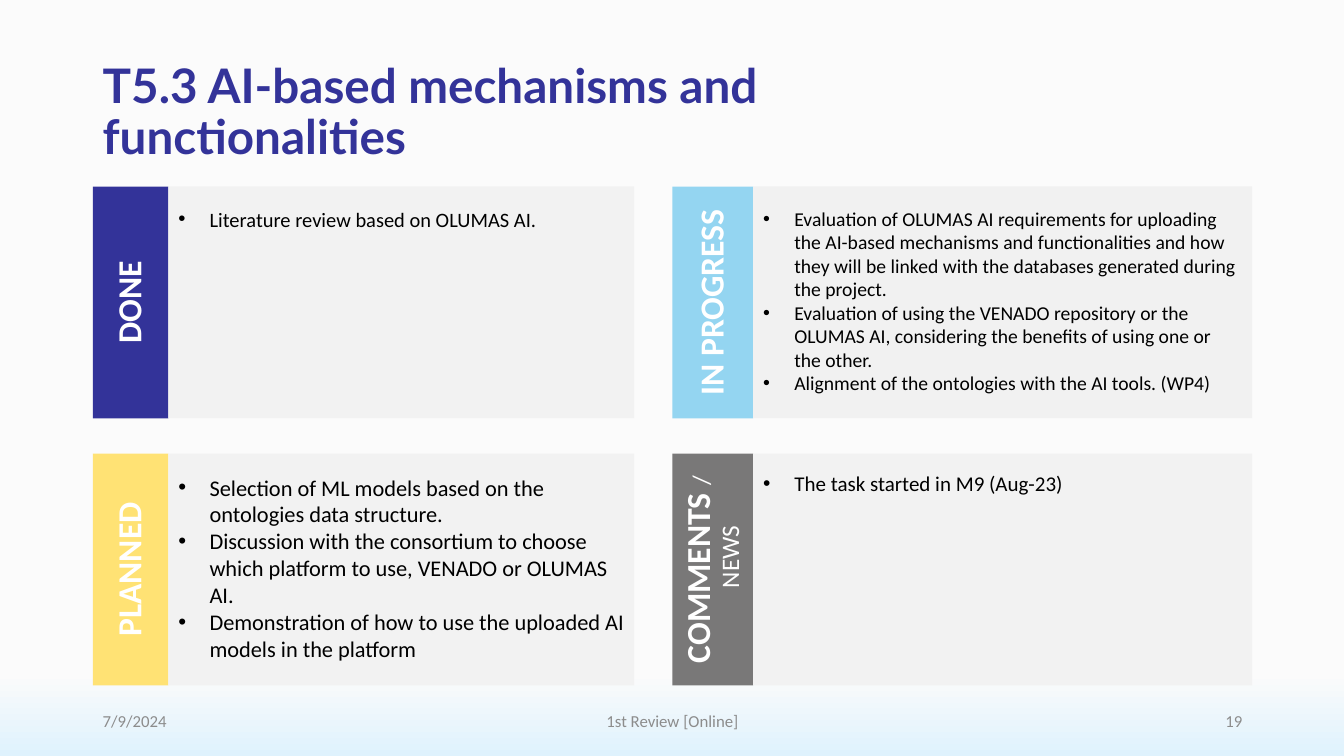
from pptx import Presentation
from pptx.dml.color import RGBColor
from pptx.enum.shapes import MSO_SHAPE
from pptx.enum.text import MSO_ANCHOR, PP_ALIGN
from pptx.oxml.ns import qn
from pptx.util import Inches, Pt
from lxml import etree

NAVY = RGBColor(0x33, 0x33, 0x99)
SKY = RGBColor(0x94, 0xD5, 0xF1)
YELLOW = RGBColor(0xFF, 0xE2, 0x74)
GRAY = RGBColor(0x79, 0x78, 0x78)
PANEL = RGBColor(0xF2, 0xF2, 0xF2)
PANEL_DARKER = RGBColor(0xF1, 0xF1, 0xF1)
FOOTER_GRAY = RGBColor(0x8C, 0x8C, 0x8C)
WHITE = RGBColor(0xFF, 0xFF, 0xFF)
BLACK = RGBColor(0, 0, 0)
BACKGROUND_STOPS = [(0.89, RGBColor(0xFB, 0xFB, 0xFB)), (1, RGBColor(0xDF, 0xF2, 0xFD))]

LEFT, RIGHT = 0.92, 12.42
COLUMNS = [(LEFT, 0.75, 4.62), (6.67, 0.8, 4.95)]
ROWS = [1.85, 4.5]
PANEL_HEIGHT = 2.3
FOOTER_TOP, FOOTER_HEIGHT = 6.95, 0.4

PANELS = [
    (0, 1, YELLOW, PANEL, [("PLANNED", 24, True)], 16, False, [
        "Selection of ML models based on the ontologies data structure.",
        "Discussion with the consortium to choose which platform to use, VENADO or OLUMAS AI.",
        "Demonstration of how to use the uploaded AI models in the platform"]),
    (0, 0, NAVY, PANEL, [("DONE", 24, True)], 14.6, False, [
        "Literature review based on OLUMAS AI."]),
    (1, 0, SKY, PANEL_DARKER, [("IN PROGRESS", 24, True)], 14, False, [
        "Evaluation of OLUMAS AI requirements for uploading the AI-based mechanisms and "
        "functionalities and how they will be linked with the databases generated during the project.",
        "Evaluation of using the VENADO repository or the OLUMAS AI, considering the benefits "
        "of using one or the other.",
        "Alignment of the ontologies with the AI tools. (WP4)"]),
    (1, 1, GRAY, PANEL, [("COMMENTS ", 24, True), ("/ NEWS", 18, False)], 15, True, [
        "The task started in M9 (Aug-23)"]),
]


def set_font(font, name, size, color, bold=False):
    font.name = name
    font.size = Pt(size)
    font.color.rgb = color
    font.bold = bold


def set_hanging(paragraph, indent):
    properties = paragraph._p.get_or_add_pPr()
    properties.set("marL", str(Inches(indent)))
    properties.set("indent", str(-Inches(indent)))
    return properties


def set_tight_spacing(paragraph):
    paragraph.line_spacing = 0.9
    paragraph.space_before = Pt(10)


def add_bullet(paragraph):
    properties = set_hanging(paragraph, 0.31)
    etree.SubElement(properties, qn("a:buFont")).set("typeface", "Arial")
    etree.SubElement(properties, qn("a:buChar")).set("char", "•")


def add_block(shapes, box, color):
    shape = shapes.add_shape(MSO_SHAPE.RECTANGLE, *map(Inches, box))
    shape.shadow.inherit = False
    shape.fill.solid()
    shape.fill.fore_color.rgb = color
    shape.line.fill.background()
    shape.text_frame.word_wrap = True
    return shape


def add_label(shapes, box, color, runs):
    left, top, width, height = box
    shape = add_block(
        shapes, (left + (width - height) / 2, top + (height - width) / 2, height, width), color)
    shape.rotation = 270
    shape.text_frame.vertical_anchor = MSO_ANCHOR.MIDDLE
    paragraph = shape.text_frame.paragraphs[0]
    paragraph.alignment = PP_ALIGN.CENTER
    set_hanging(paragraph, 0.25)
    set_tight_spacing(paragraph)
    for text, size, bold in runs:
        run = paragraph.add_run()
        run.text = text
        set_font(run.font, "Calibri", size, WHITE, bold)


def add_list(shapes, box, color, items, size, tight):
    frame = add_block(shapes, box, color).text_frame
    frame.margin_top = Inches(0.2)
    frame.vertical_anchor = MSO_ANCHOR.TOP
    frame.text = "\n".join(items)
    for paragraph in frame.paragraphs:
        paragraph.alignment = PP_ALIGN.LEFT
        if tight:
            set_tight_spacing(paragraph)
        add_bullet(paragraph)
        set_font(paragraph.font, "Calibri", size, BLACK)


def add_panel(slide, box, label_width, label_color, panel_color, label, size, tight, items):
    left, top, width, height = box
    group = slide.shapes.add_group_shape()
    add_label(group.shapes, (left, top, label_width, height), label_color, label)
    add_list(group.shapes, (left + label_width, top, width - label_width, height),
             panel_color, items, size, tight)


def add_text(slide, box, text, alignment=PP_ALIGN.LEFT):
    frame = slide.shapes.add_textbox(*map(Inches, box)).text_frame
    frame.word_wrap = True
    frame.vertical_anchor = MSO_ANCHOR.MIDDLE
    paragraph = frame.paragraphs[0]
    paragraph.text = text
    paragraph.alignment = alignment
    return paragraph


def add_title(slide, box, text):
    paragraph = add_text(slide, box, text)
    paragraph.line_spacing = 0.9
    set_font(paragraph.font, "Lato", 34, NAVY, True)


def add_footer(slide, left, right, top, height):
    middle = (left + right) / 2
    for x, width, text, alignment in [
            (left, 3, "7/9/2024", PP_ALIGN.LEFT),
            (middle - 2.25, 4.5, "1st Review [Online]", PP_ALIGN.CENTER),
            (right - 3, 3, "19", PP_ALIGN.RIGHT)]:
        paragraph = add_text(slide, (x, top, width, height), text, alignment)
        set_font(paragraph.font, "Calibri", 12, FOOTER_GRAY)


def set_background(slide):
    fill = slide.background.fill
    fill.gradient()
    fill.gradient_angle = 270
    for stop, (position, color) in zip(fill.gradient_stops, BACKGROUND_STOPS):
        stop.position = position
        stop.color.rgb = color


def build_status_slide(presentation):
    slide = presentation.slides.add_slide(presentation.slide_layouts[6])
    set_background(slide)
    add_title(slide, (LEFT, 0.4, 7.61, 1.45), "T5.3 AI-based mechanisms and functionalities")
    for column, row, *content in PANELS:
        left, label_width, body_width = COLUMNS[column]
        box = (left, ROWS[row], label_width + body_width, PANEL_HEIGHT)
        add_panel(slide, box, label_width, *content)
    add_footer(slide, LEFT, RIGHT, FOOTER_TOP, FOOTER_HEIGHT)


def main():
    presentation = Presentation()
    presentation.slide_width = Inches(13.33)
    presentation.slide_height = Inches(7.5)
    build_status_slide(presentation)
    presentation.save("out.pptx")


if __name__ == "__main__":
    main()
